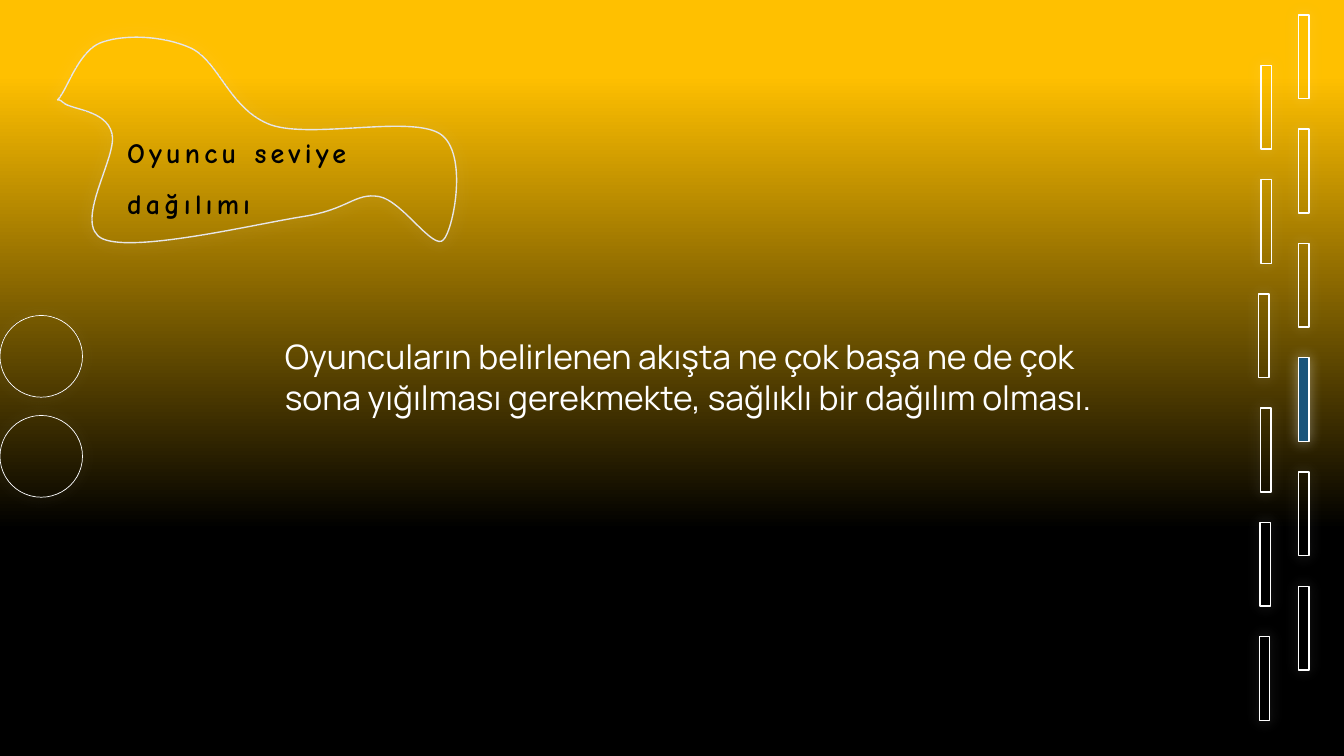
from lxml import etree
from pptx import Presentation, util as u
from pptx.dml.color import RGBColor
from pptx.enum import shapes, text
from pptx.oxml.ns import qn

BLACK = RGBColor(0x00, 0x00, 0x00)
GOLD = RGBColor(0xFF, 0xC0, 0x00)
WHITE = RGBColor(0xFF, 0xFF, 0xFF)
GREY = RGBColor(0xE7, 0xE6, 0xE6)
BLUE = RGBColor(0x19, 0x54, 0x7B)

# Content
HEADING = "Oyuncu seviye dağılımı"
MESSAGE = ("Oyuncuların belirlenen akışta ne çok başa ne de çok sona yığılması "
           "gerekmekte, sağlıklı bir dağılım olması.")

# Bars: left edges (cm) from top to bottom, first top edge, and the current page
BAR_SIZE = (2.87, 1.12)
BAR_STEP = 2.88
BAR_COLUMNS = [
    {"lefts": [31.42] * 6, "top": 0.87, "current": 3},
    {"lefts": [30.47, 30.47, 30.41, 30.46, 30.45, 30.43], "top": 2.14, "current": None},
]
CIRCLE_TOPS = [7.95, 10.47]
CIRCLE_SIZE = (2.08, 2.06)

# Bird outline in hundredths of 2.54 cm: box, start, then curves (two controls and an end)
BIRD_UNIT = u.Cm(2.54) / 100
BIRD_BOX = (57, 37, 396, 204)
BIRD_START = (61, 94)
BIRD_CURVES = [
    ((68, 84), (80, 49), (101, 42)),
    ((123, 34), (162, 35), (190, 48)),
    ((218, 62), (228, 109), (269, 124)),
    ((310, 138), (408, 114), (437, 133)),
    ((465, 152), (450, 228), (440, 238)),
    ((430, 249), (399, 199), (376, 195)),
    ((352, 191), (346, 208), (300, 215)),
    ((255, 222), (134, 251), (102, 237)),
    ((71, 223), (118, 154), (111, 132)),
    ((105, 109), (71, 109), (63, 102)),
    ((56, 95), (55, 104), (61, 94)),
]


def place(shape, left, top, width, height):
    shape.left, shape.top = u.Emu(int(left)), u.Emu(int(top))
    shape.width, shape.height = u.Emu(int(width)), u.Emu(int(height))


def add_bird(slide):
    """Closed freeform whose straight segments are turned into cubic curves."""
    builder = slide.shapes.build_freeform(*BIRD_START, scale=BIRD_UNIT)
    builder.add_line_segments([curve[-1] for curve in BIRD_CURVES], close=True)
    bird = builder.convert_to_shape()
    place(bird, *(length * BIRD_UNIT for length in BIRD_BOX))

    left, top, width, height = BIRD_BOX
    outline = next(bird._element.iter(qn("a:path")))
    for child in list(outline):
        outline.remove(child)
    outline.set("w", str(width))
    outline.set("h", str(height))
    for tag, points in [("a:moveTo", [BIRD_START])] + [("a:cubicBezTo", c) for c in BIRD_CURVES]:
        command = etree.SubElement(outline, qn(tag))
        for x, y in points:
            etree.SubElement(command, qn("a:pt"), x=str(x - left), y=str(y - top))
    etree.SubElement(outline, qn("a:close"))
    return bird


def style_shape(shape, line_color=WHITE, line_width=1, glow=10, fill=None):
    """Outline and soft glow; without a fill the slide background shows."""
    if fill is None:
        shape._element.set("useBgFill", "1")
    else:
        shape.fill.solid()
        shape.fill.fore_color.rgb = fill
    shape.line.color.rgb = line_color
    shape.line.width = u.Pt(line_width)
    shape.shadow.inherit = False
    effects = shape._element.spPr.find(qn("a:effectLst"))
    shadow = etree.SubElement(effects, qn("a:outerShdw"), blurRad=str(u.Pt(glow)),
                              dist="0", dir="0", algn="ctr", rotWithShape="0")
    color = etree.SubElement(shadow, qn("a:srgbClr"), val=str(WHITE))
    etree.SubElement(color, qn("a:alpha"), val="40000")


def write_text(shape, words, font, size, color, bold=False, spacing=0, line_spacing=None):
    frame = shape.text_frame
    frame.word_wrap = True
    frame.auto_size = text.MSO_AUTO_SIZE.SHAPE_TO_FIT_TEXT
    frame.vertical_anchor = text.MSO_ANCHOR.TOP
    paragraph = frame.paragraphs[0]
    paragraph.alignment = text.PP_ALIGN.LEFT
    paragraph.line_spacing = line_spacing
    run = paragraph.add_run()
    run.text = words
    run.font.name = font
    run.font.size = u.Pt(size)
    run.font.bold = bold
    run.font.color.rgb = color
    run._r.get_or_add_rPr().set("spc", str(spacing * 100))


def cm(*lengths):
    return [u.Cm(length) for length in lengths]


def main():
    presentation = Presentation()
    presentation.slide_width, presentation.slide_height = cm(33.87, 19.05)
    slide = presentation.slides.add_slide(presentation.slide_layouts[5])

    # Background: black at the bottom rising to gold
    background = slide.background.fill
    background.gradient()
    background.gradient_angle = 90
    for stop, position, color in zip(background.gradient_stops, (0.3, 0.9), (BLACK, GOLD)):
        stop.position = position
        stop.color.rgb = color

    # Bars on the right
    for column in BAR_COLUMNS:
        for row, left in enumerate(column["lefts"]):
            top = column["top"] + row * BAR_STEP
            bar = slide.shapes.add_shape(shapes.MSO_SHAPE.MATH_MINUS,
                                         *cm(left, top, *BAR_SIZE))
            bar.rotation = 90
            style_shape(bar, fill=BLUE if row == column["current"] else None)

    # Circles on the left
    for top in CIRCLE_TOPS:
        circle = slide.shapes.add_shape(shapes.MSO_SHAPE.OVAL, *cm(0, top, *CIRCLE_SIZE))
        style_shape(circle, line_width=0.5)

    # Bird outline behind the heading
    style_shape(add_bird(slide), line_color=GREY, glow=12)

    # Heading, brought in front of the bird
    title = slide.shapes.title
    place(title, *cm(2.95, 2.87, 9.04, 2.72))
    write_text(title, HEADING, "Comic Neue", 20, BLACK, bold=True, spacing=3,
               line_spacing=1.5)
    slide.shapes._spTree.append(title._element)

    # Message
    message = slide.shapes.add_textbox(*cm(6.93, 8.35, 22.1, 2.31))
    write_text(message, MESSAGE, "Manrope", 24, WHITE)

    presentation.save("out.pptx")


if __name__ == "__main__":
    main()
